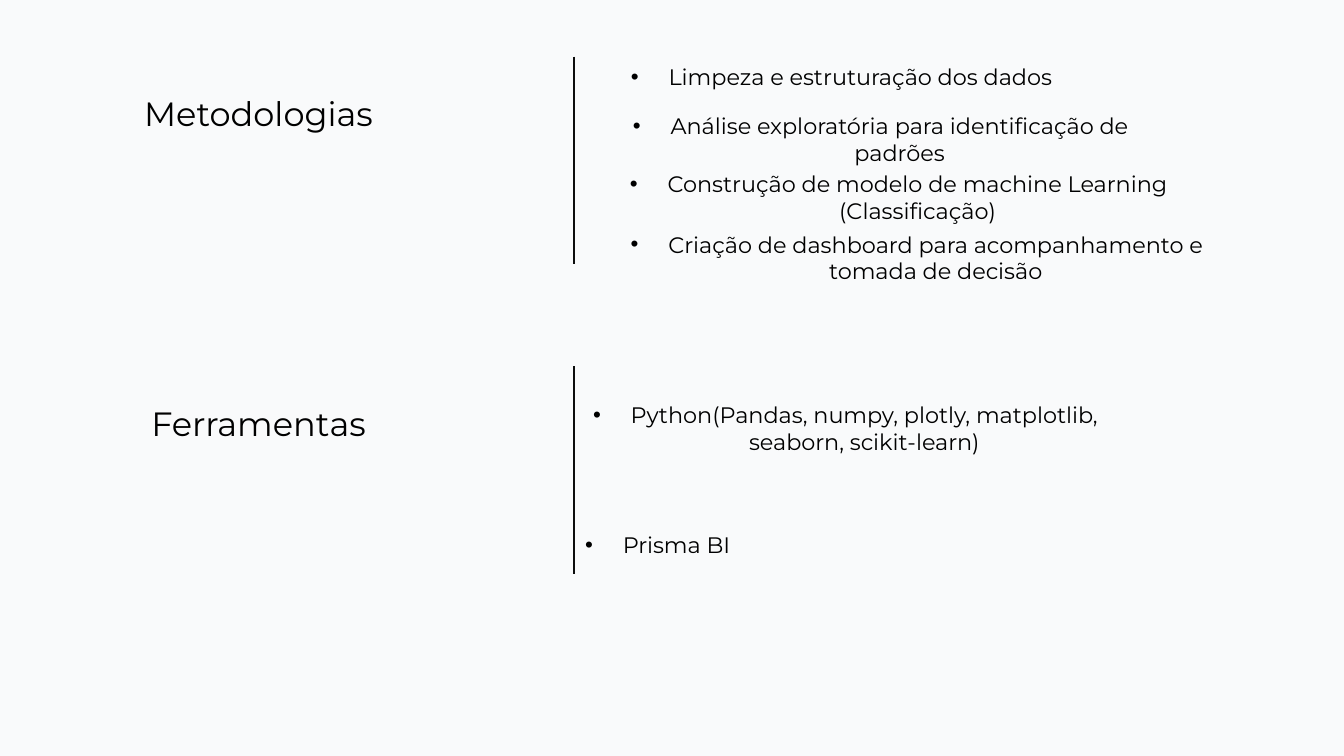
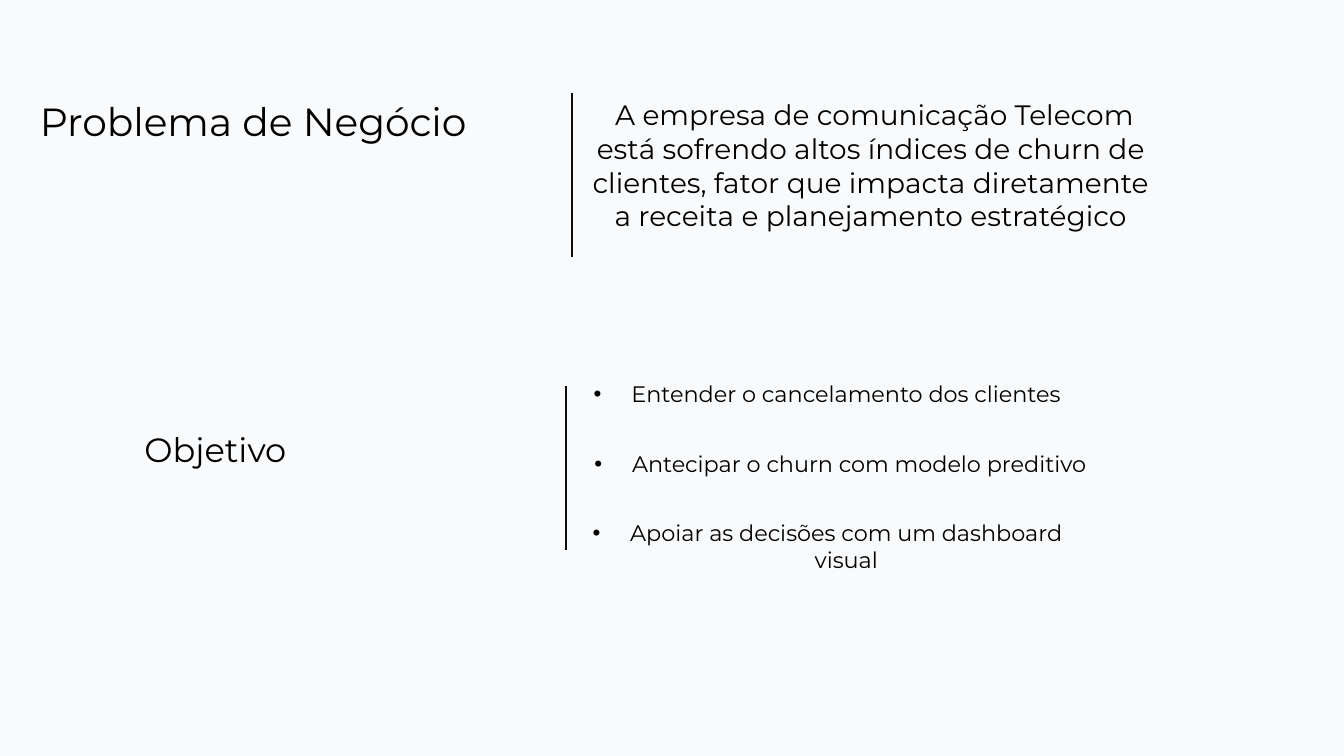
from dataclasses import dataclass

from lxml.etree import SubElement
from pptx import Presentation
from pptx.dml.color import RGBColor
from pptx.enum.shapes import MSO_CONNECTOR, MSO_SHAPE
from pptx.enum.text import MSO_ANCHOR, MSO_AUTO_SIZE, PP_ALIGN
from pptx.oxml.ns import qn
from pptx.util import Cm, Pt


@dataclass(frozen=True)
class Theme:
    font: str = "Montserrat"
    background: RGBColor = RGBColor(0xF9, 0xFA, 0xFB)
    ink: RGBColor = RGBColor(0, 0, 0)
    divider: RGBColor = RGBColor(0x0D, 0x0D, 0x0D)
    divider_width: float = 1.5
    lead_heading: int = 28
    heading: int = 24
    statement: int = 20
    item: int = 16
    hanging: float = 0.95


@dataclass(frozen=True)
class Item:
    text: str
    left: float
    width: float
    gap: float = 0


THEME = Theme()
SLIDE_WIDTH, SLIDE_HEIGHT = Cm(33.87), Cm(19.05)
COMPARISON_LAYOUT = 4
TITLE, UNUSED_HEADING, UPPER_BODY, LOWER_HEADING, LOWER_BODY = range(5)

METHODS = [
    Item("Limpeza e estruturação dos dados", 14.43, 13.56),
    Item("Análise exploratória para identificação de padrões", 15.21, 13.97, gap=15.6),
    Item("Construção de modelo de machine Learning (Classificação)", 15.21, 14.88, gap=3),
    Item("Criação de dashboard para acompanhamento e tomada de decisão", 15.21, 15.8, gap=5),
]
TOOLS = [
    Item("Python(Pandas, numpy, plotly, matplotlib, seaborn, scikit-learn)", 14.53, 13.56),
    Item("Prisma BI", 14.43, 4.29, gap=54.2),
]
GOALS = [
    Item("Entender o cancelamento dos clientes", 14.07, 13.56),
    Item("Antecipar o churn com modelo preditivo", 14.4, 13.56, gap=31),
    Item("Apoiar as decisões com um dashboard visual", 13.87, 13.97, gap=30.2),
]
PROBLEM = (
    " A empresa de comunicação Telecom está sofrendo altos índices de churn de "
    "clientes, fator que impacta diretamente a receita e planejamento estratégico"
)


def write_text(paragraph, text, *, size, gap=0, left=0, right=0, bullet=None):
    paragraph.alignment = PP_ALIGN.CENTER
    paragraph.line_spacing = 1.0
    paragraph.space_before = Pt(gap)
    paragraph.space_after = Pt(0)
    hanging = THEME.hanging if bullet else 0
    properties = paragraph._p.get_or_add_pPr()
    properties.set("marL", str(Cm(left + hanging)))
    properties.set("marR", str(Cm(right)))
    properties.set("indent", str(Cm(-hanging)))
    if bullet:
        SubElement(properties, qn("a:buFont")).set("typeface", "Arial")
        SubElement(properties, qn("a:buChar")).set("char", bullet)
    else:
        SubElement(properties, qn("a:buNone"))
    run = paragraph.add_run()
    run.text = text
    run.font.name = THEME.font
    run.font.size = Pt(size)
    run.font.bold = False
    run.font.color.rgb = THEME.ink


def place(placeholder, left, top, width, height):
    placeholder.left, placeholder.top = Cm(left), Cm(top)
    placeholder.width, placeholder.height = Cm(width), Cm(height)
    frame = placeholder.text_frame
    frame.word_wrap = True
    frame.auto_size = MSO_AUTO_SIZE.NONE
    frame.vertical_anchor = MSO_ANCHOR.TOP
    return frame


def add_passage(placeholder, text, box, size):
    write_text(place(placeholder, *box).paragraphs[0], text, size=size)


def add_list(placeholder, items, top, height):
    left = min(item.left for item in items)
    right = max(item.left + item.width for item in items)
    frame = place(placeholder, left, top, right - left, height)
    for index, item in enumerate(items):
        paragraph = frame.add_paragraph() if index else frame.paragraphs[0]
        write_text(
            paragraph,
            item.text,
            size=THEME.item,
            gap=item.gap,
            left=item.left - left,
            right=right - item.left - item.width,
            bullet="•",
        )


def add_divider(slide, x, top, height):
    divider = slide.shapes.add_connector(
        MSO_CONNECTOR.STRAIGHT, Cm(x), Cm(top), Cm(x), Cm(top + height)
    )
    divider.line.color.rgb = THEME.divider
    divider.line.width = Pt(THEME.divider_width)
    SubElement(divider._element.spPr, qn("a:effectLst"))


def add_backdrop(slide):
    backdrop = slide.shapes.add_shape(MSO_SHAPE.RECTANGLE, 0, 0, SLIDE_WIDTH, SLIDE_HEIGHT)
    backdrop.shadow.inherit = False
    backdrop.fill.solid()
    backdrop.fill.fore_color.rgb = THEME.background
    backdrop.line.fill.background()
    slide.placeholders[TITLE].element.addprevious(backdrop.element)


def add_slide(deck):
    slide = deck.slides.add_slide(deck.slide_layouts[COMPARISON_LAYOUT])
    parts = {part.placeholder_format.idx: part for part in slide.placeholders}
    for idx, part in parts.items():
        if idx not in (TITLE, UPPER_BODY, LOWER_HEADING, LOWER_BODY):
            part.element.getparent().remove(part.element)
    add_backdrop(slide)
    return slide, parts


def add_methods_slide(deck):
    slide, parts = add_slide(deck)
    add_passage(parts[TITLE], "Metodologias", (2.87, 2.22, 7.29, 1.27), THEME.heading)
    add_list(parts[UPPER_BODY], METHODS, 1.47, 5.87)
    add_passage(parts[LOWER_HEADING], "Ferramentas", (2.87, 10.03, 7.29, 1.27), THEME.heading)
    add_list(parts[LOWER_BODY], TOOLS, 9.99, 4.19)
    for top in (1.43, 9.23):
        add_divider(slide, 14.47, top, 5.23)


def add_problem_slide(deck):
    slide, parts = add_slide(deck)
    add_passage(
        parts[TITLE], "Problema de Negócio", (0.36, 2.32, 12.04, 1.45), THEME.lead_heading
    )
    add_passage(parts[UPPER_BODY], PROBLEM, (14.59, 2.34, 14.71, 4.52), THEME.statement)
    add_passage(parts[LOWER_HEADING], "Objetivo", (2.9, 10.69, 5.05, 1.27), THEME.heading)
    add_list(parts[LOWER_BODY], GOALS, 9.45, 5.13)
    for x, top in ((14.41, 2.34), (14.27, 9.73)):
        add_divider(slide, x, top, 4.14)


def main():
    deck = Presentation()
    deck.slide_width, deck.slide_height = SLIDE_WIDTH, SLIDE_HEIGHT
    add_methods_slide(deck)
    add_problem_slide(deck)
    deck.save("out.pptx")


if __name__ == "__main__":
    main()
